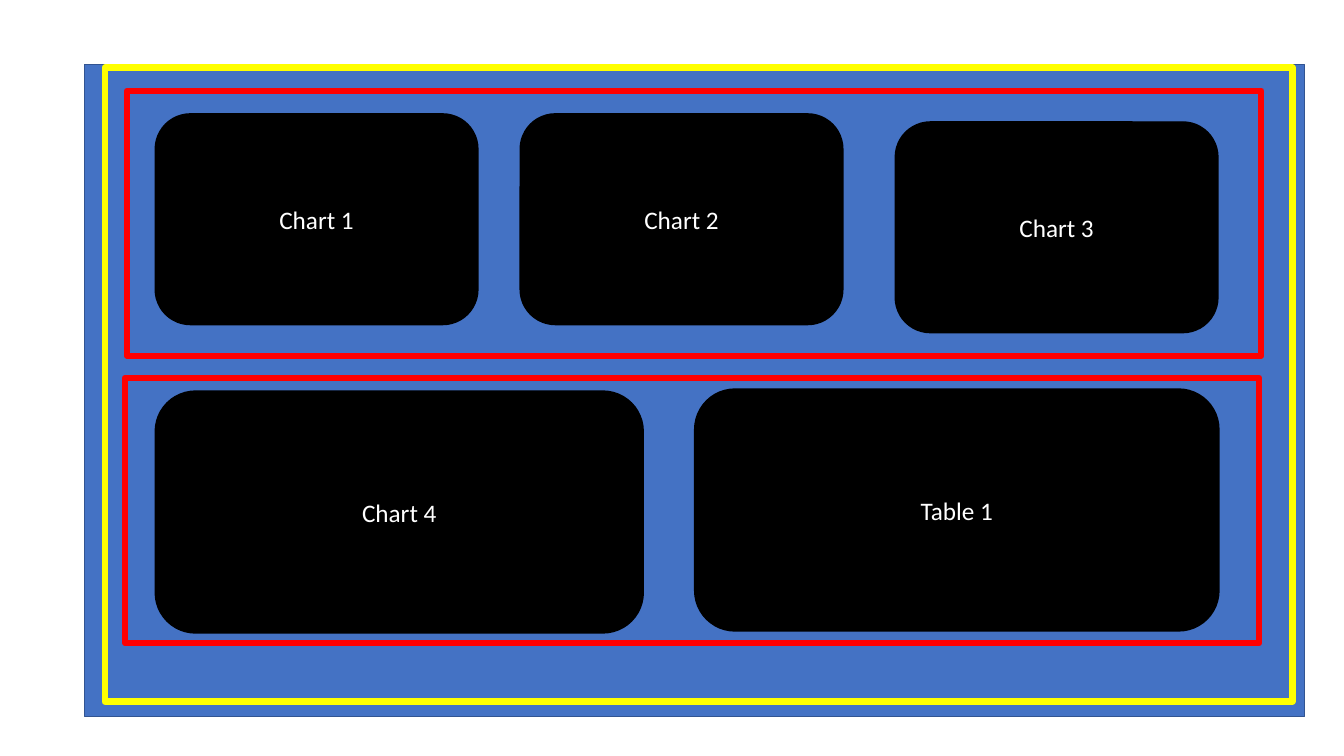
from dataclasses import dataclass

from pptx import Presentation
from pptx.dml.color import RGBColor
from pptx.enum.shapes import MSO_SHAPE
from pptx.enum.text import MSO_ANCHOR, PP_ALIGN
from pptx.shapes.autoshape import Shape
from pptx.slide import Slide
from pptx.util import Inches, Pt

BLUE, DARK_BLUE = "4472C4", "325491"
BLACK, WHITE, RED, YELLOW = "000000", "FFFFFF", "FF0000", "FFFF00"
FRAME_WIDTH = 4.5
CARD_LEFT = 1.54
TOP_CARD = (3.2, 2.09)
ROW_FRAME = (11.25, 2.63)


@dataclass(frozen=True)
class Box:
    """Position and size in inches."""
    left: float
    top: float
    width: float
    height: float


@dataclass(frozen=True)
class Card:
    """A labelled dashboard placeholder."""
    label: str
    box: Box


@dataclass(frozen=True)
class Frame:
    """An unfilled outline around part of the dashboard."""
    box: Box
    color: str


CARDS = [
    Card("Chart 1", Box(CARD_LEFT, 1.13, *TOP_CARD)),
    Card("Chart 2", Box(5.16, 1.13, *TOP_CARD)),
    Card("Chart 3", Box(8.88, 1.21, *TOP_CARD)),
    Card("Chart 4", Box(CARD_LEFT, 3.88, 4.84, 2.4)),
    Card("Table 1", Box(6.89, 3.86, 5.2, 2.4)),
]
FRAMES = [
    Frame(Box(1.24, 3.75, *ROW_FRAME), RED),
    Frame(Box(1.26, 0.9, *ROW_FRAME), RED),
    Frame(Box(1.04, 0.67, 11.78, 6.29), YELLOW),
]


def rgb(color: str) -> RGBColor:
    """Turn a hex string into a colour."""
    return RGBColor.from_string(color)


def add_box(slide: Slide, box: Box, *, line: str, fill: str | None = None,
            line_width: float = 1,
            kind: MSO_SHAPE = MSO_SHAPE.RECTANGLE) -> Shape:
    """Draw a preset shape, unfilled unless a fill is given."""
    shape = slide.shapes.add_shape(kind, Inches(box.left), Inches(box.top),
                                   Inches(box.width), Inches(box.height))
    shape.shadow.inherit = False
    if fill is None:
        shape.fill.background()
    else:
        shape.fill.solid()
        shape.fill.fore_color.rgb = rgb(fill)
    shape.line.color.rgb = rgb(line)
    shape.line.width = Pt(line_width)
    return shape


def set_text(shape: Shape, text: str, *, size: float = 18,
             color: str = WHITE, font: str = "Calibri") -> None:
    """Write centred text into a shape."""
    frame = shape.text_frame
    frame.word_wrap = True
    frame.vertical_anchor = MSO_ANCHOR.MIDDLE
    paragraph = frame.paragraphs[0]
    paragraph.alignment = PP_ALIGN.CENTER
    run = paragraph.add_run()
    run.text = text
    run.font.name = font
    run.font.size = Pt(size)
    run.font.color.rgb = rgb(color)


def add_card(slide: Slide, card: Card) -> None:
    """Draw a black rounded card with its label."""
    shape = add_box(slide, card.box, fill=BLACK, line=BLACK,
                    kind=MSO_SHAPE.ROUNDED_RECTANGLE)
    set_text(shape, card.label)


def main() -> None:
    """Build and save the dashboard layout slide."""
    presentation = Presentation()
    presentation.slide_width = Inches(13.33)
    presentation.slide_height = Inches(7.5)
    slide = presentation.slides.add_slide(presentation.slide_layouts[6])
    add_box(slide, Box(0.84, 0.64, 12.1, 6.47), fill=BLUE, line=DARK_BLUE)
    for card in CARDS:
        add_card(slide, card)
    for frame in FRAMES:
        add_box(slide, frame.box, line=frame.color, line_width=FRAME_WIDTH)
    presentation.save("out.pptx")


main()
